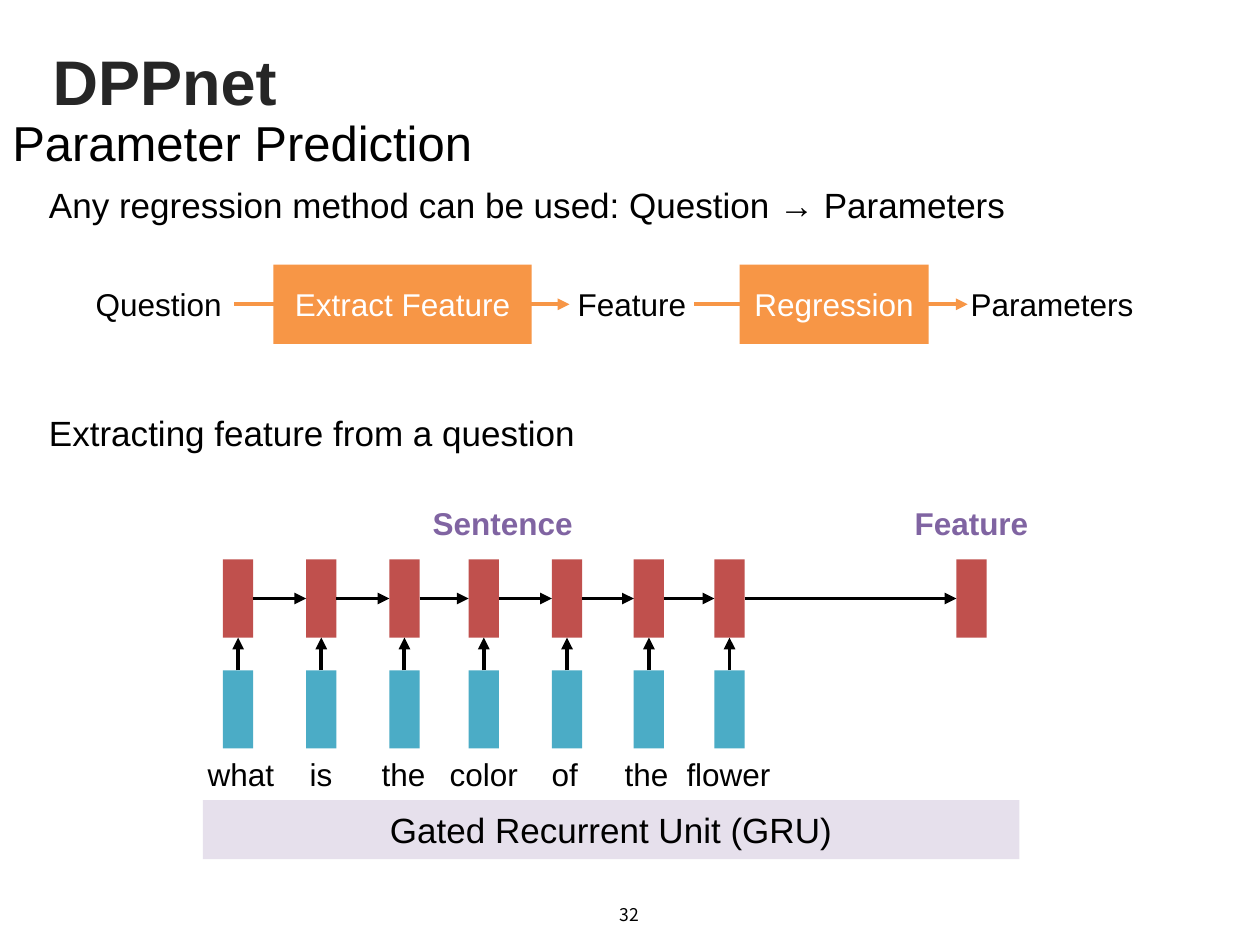
from itertools import pairwise

from lxml import etree
from pptx import Presentation
from pptx.dml.color import RGBColor
from pptx.enum import shapes, text
from pptx.oxml import ns
from pptx.util import Inches, Pt

HUES = {
    "ink": "000000",
    "title": "262626",
    "white": "FFFFFF",
    "flow": "F79646",
    "state": "C0504D",
    "word": "4BACC6",
    "label": "8064A2",
    "band": "E6E0EC",
}


def hue(name):
    return RGBColor.from_string(HUES[name])


def write(shape, words, size=18, color="ink", bold=False, center=False,
          font="Arial", inset=True, wrap=True, top=False):
    frame = shape.text_frame
    frame.word_wrap = wrap
    frame.vertical_anchor = text.MSO_ANCHOR.TOP if top else text.MSO_ANCHOR.MIDDLE
    if not wrap:
        frame.auto_size = text.MSO_AUTO_SIZE.SHAPE_TO_FIT_TEXT
    if not inset:
        frame.margin_left = frame.margin_right = 0
        frame.margin_top = frame.margin_bottom = 0
    para = frame.paragraphs[0]
    para.alignment = text.PP_ALIGN.CENTER if center else text.PP_ALIGN.LEFT
    run = para.add_run()
    run.text = words
    run.font.name = font
    run.font.size = Pt(size)
    run.font.bold = bold
    run.font.color.rgb = hue(color)


class Deck:
    def __init__(self):
        self.file = Presentation()
        self.file.slide_width = Inches(10)
        self.file.slide_height = Inches(7.5)
        self.slide = self.file.slides.add_slide(self.file.slide_layouts[6])

    def label(self, area, words, **style):
        box = self.slide.shapes.add_textbox(*map(Inches, area))
        write(box, words, **style)
        return box

    def rect(self, area, fill, words="", **style):
        box = self.slide.shapes.add_shape(
            shapes.MSO_SHAPE.RECTANGLE, *map(Inches, area))
        box.shadow.inherit = False
        box.fill.solid()
        box.fill.fore_color.rgb = hue(fill)
        box.line.fill.background()
        if words:
            write(box, words, center=True, **style)
        return box

    def arrow(self, start, end, color="ink", sides=(3, 1)):
        line = self.slide.shapes.add_connector(
            shapes.MSO_CONNECTOR.STRAIGHT, 0, 0, 0, 0)
        line.begin_connect(start, sides[0])
        line.end_connect(end, sides[1])
        line.line.color.rgb = hue(color)
        line.line.width = Pt(2.25)
        props = line._element.spPr
        etree.SubElement(props.find(ns.qn("a:ln")), ns.qn("a:tailEnd"), type="triangle")
        etree.SubElement(props, ns.qn("a:effectLst"))


def heads(deck):
    deck.label((0.32, 0.28, 9.38, 0.72), "DPPnet", size=36, color="title", bold=True)
    deck.label((3.83, 7.06, 2.33, 0.4), "32", size=10, center=True,
               font="Noto Sans CJK KR")
    deck.label((0, 0.8, 10, 0.66), "Parameter Prediction", size=28)
    deck.label((0.29, 1.39, 9.71, 0.47),
               "Any regression method can be used: Question → Parameters", size=20)
    deck.label((0.29, 3.2, 9.71, 0.47), "Extracting feature from a question", size=20)


def flow(deck):
    top, high = 2.1, 0.63
    ends = [("Question", 0.66, 1.2), ("Feature", 4.52, 0.99), ("Parameters", 7.68, 1.34)]
    steps = [("Extract Feature", 2.17, 2.05), ("Regression", 5.87, 1.5)]
    nodes = [deck.label((left, top, wide, high), words, center=True, inset=False)
             for words, left, wide in ends]
    for start, end in pairwise(nodes):
        deck.arrow(start, end, "flow")
    for words, left, wide in steps:
        deck.rect((left, top, wide, high), "flow", words, color="white")


def network(deck):
    wide, high = 0.24, 0.62
    words = [
        ("what", 1.77, 1.55, 0.73),
        ("is", 2.43, 2.36, 0.38),
        ("the", 3.09, 2.93, 0.55),
        ("color", 3.72, 3.47, 0.75),
        ("of", 4.38, 4.28, 0.41),
        ("the", 5.03, 4.86, 0.55),
        ("flower", 5.67, 5.35, 0.88),
    ]
    states = []
    for word, left, edge, span in words:
        deck.label((edge, 5.94, span, 0.4), word, wrap=False, top=True)
        cell = deck.rect((left, 5.32, wide, high), "word")
        state = deck.rect((left, 4.44, wide, high), "state")
        deck.arrow(cell, state, sides=(0, 2))
        states.append(state)
    states.append(deck.rect((7.59, 4.44, wide, high), "state"))
    for start, end in pairwise(states):
        deck.arrow(start, end)
    for word, left in [("Sentence", 3.05), ("Feature", 6.77)]:
        deck.label((left, 4.03, 1.88, 0.24), word, color="label", bold=True, center=True)
    deck.rect((1.61, 6.35, 6.48, 0.47), "band", "Gated Recurrent Unit (GRU)", size=20)


def main():
    deck = Deck()
    heads(deck)
    flow(deck)
    network(deck)
    deck.file.save("out.pptx")


if __name__ == "__main__":
    main()
